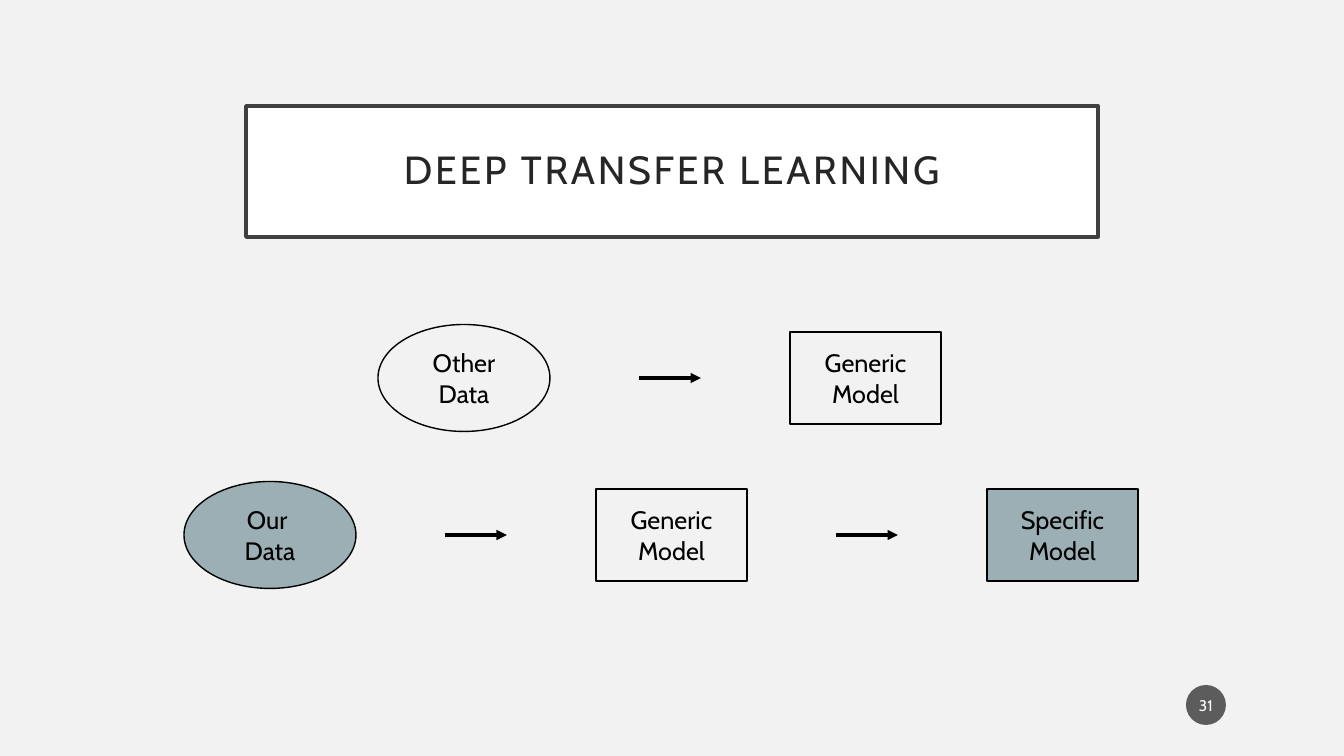
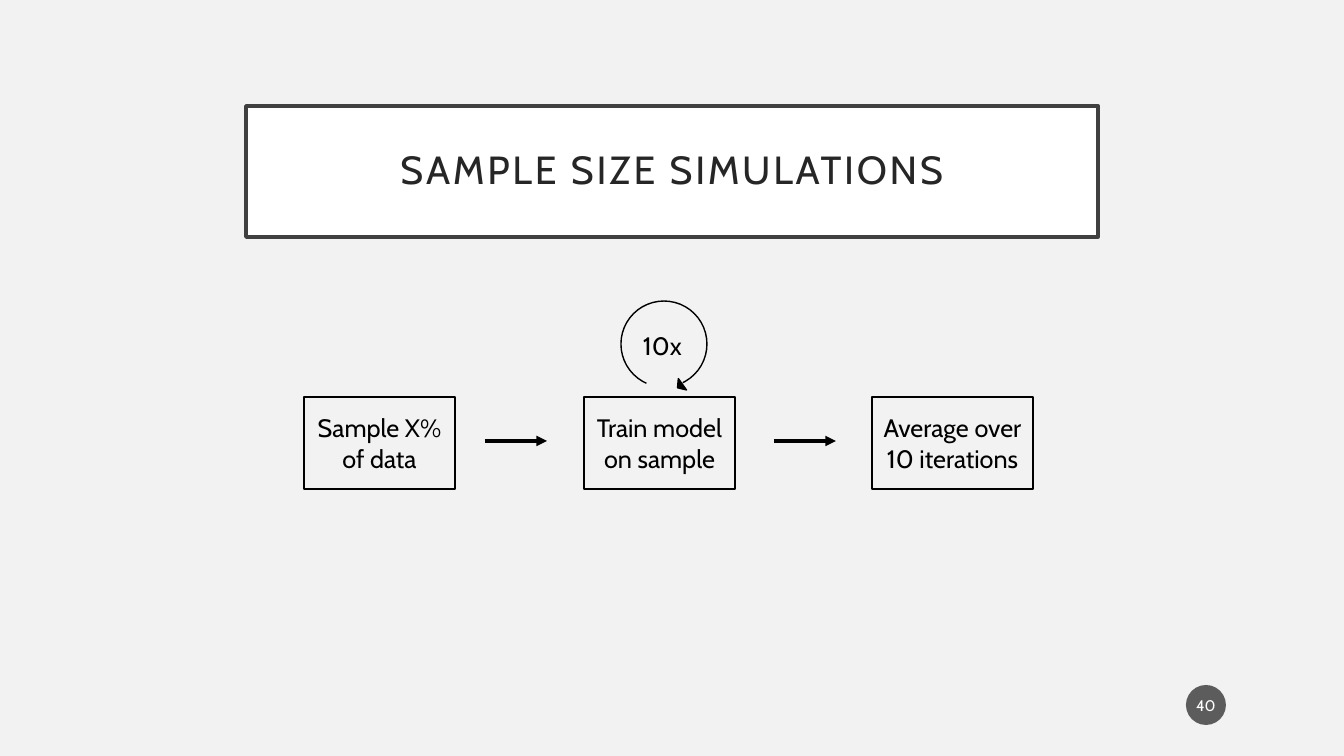
from lxml import etree
from pptx import Presentation
from pptx.dml.color import RGBColor
from pptx.enum.shapes import MSO_CONNECTOR, MSO_SHAPE
from pptx.enum.text import MSO_ANCHOR, MSO_AUTO_SIZE, PP_ALIGN
from pptx.oxml.ns import qn
from pptx.util import Emu, Pt

RECTANGLE, OVAL = MSO_SHAPE.RECTANGLE, MSO_SHAPE.OVAL
ARC, TRIANGLE = MSO_SHAPE.ARC, MSO_SHAPE.ISOSCELES_TRIANGLE
STRAIGHT = MSO_CONNECTOR.STRAIGHT
MIDDLE, CENTER, LEFT = MSO_ANCHOR.MIDDLE, PP_ALIGN.CENTER, PP_ALIGN.LEFT
NO_AUTOFIT = MSO_AUTO_SIZE.NONE

FONT = "Cabin"
COLORS = {
    "paper": "F2F2F2", "white": "FFFFFF", "black": "000000", "ours": "9BAFB5",
    "title": "262626", "frame": "404040", "badge": "1D1D1D",
}

# Content: each step is (kind, label, fill); an arrow joins neighbouring steps.
# Gaps are the spaces before and after each arrow, in px.
SLIDES = [
    {
        "title": "DEEP TRANSFER LEARNING",
        "number": "31",
        "flows": [
            {"left": 378, "middle": 378, "arrow_middle": 378, "gaps": [89] * 2,
             "steps": [("data", "Other Data", "paper"),
                       ("model", "Generic Model", "paper")]},
            {"left": 184, "middle": 535, "arrow_middle": 535, "gaps": [89] * 4,
             "steps": [("data", "Our \nData", "ours"),
                       ("model", "Generic Model", "paper"),
                       ("model", "Specific Model", "ours")]},
        ],
    },
    {
        "title": "SAMPLE SIZE SIMULATIONS",
        "number": "40",
        "loop": "10x",
        "flows": [
            {"left": 304, "middle": 443, "arrow_middle": 441,
             "gaps": [30, 37, 39, 36],
             "steps": [("model", "Sample X% of data", "paper"),
                       ("model", "Train model on sample", "paper"),
                       ("wide", "Average over 10 iterations", "paper")]},
        ],
    },
]

# Geometry in px
PAGE_SIZE = (1344, 756)
TITLE_AREA = (246, 106, 852, 131)
BADGE_AREA = (1186, 685, 40, 40)
LOOP_AREA = (621, 301, 86, 86)
LOOP_HEAD_AREA = (673, 383, 14, 6)
LOOP_LABEL_AREA = (633, 325, 67, 40)
KINDS = {
    "data": (OVAL, 172, 107),
    "model": (RECTANGLE, 151, 92),
    "wide": (RECTANGLE, 161, 92),
}
ARROW_LENGTH = 62
LOOP_ANGLES = (114, 64)
LOOP_HEAD_TURN = 234.4


def px(length):
    return Emu(round(length * 914400 / 100.8))


def rgb(name):
    return RGBColor.from_string(COLORS[name])


def paint(shape, fill=None, line=None, width=1):
    if fill:
        shape.fill.solid()
        shape.fill.fore_color.rgb = rgb(fill)
    else:
        shape.fill.background()
    if line:
        shape.line.color.rgb = rgb(line)
        shape.line.width = Pt(width)
    else:
        shape.line.fill.background()


def write(shape, text, size=18, color="black", align=CENTER, insets=(10, 5)):
    frame = shape.text_frame
    across, down = px(insets[0]), px(insets[1])
    frame_format = {
        "word_wrap": True, "auto_size": NO_AUTOFIT, "vertical_anchor": MIDDLE,
        "margin_left": across, "margin_right": across,
        "margin_top": down, "margin_bottom": down,
    }
    for name, value in frame_format.items():
        setattr(frame, name, value)
    frame.text = text
    for para in frame.paragraphs:
        para.alignment = align
        for span in para.runs:
            for name, value in {"name": FONT, "size": Pt(size)}.items():
                setattr(span.font, name, value)
            span.font.color.rgb = rgb(color)


def add_box(page, kind, area, **look):
    box = page.shapes.add_shape(kind, *map(px, area))
    box.shadow.inherit = False
    paint(box, **look)
    return box


def add_arrow(page, left, middle):
    ends = (left, middle, left + ARROW_LENGTH, middle)
    arrow = page.shapes.add_connector(STRAIGHT, *map(px, ends))
    arrow.line.color.rgb = rgb("black")
    arrow.line.width = Pt(2.5)
    etree.SubElement(arrow.line._get_or_add_ln(), qn("a:tailEnd"), type="triangle")
    etree.SubElement(arrow._element.spPr, qn("a:effectLst"))


def add_flow(page, flow):
    left, gaps = flow["left"], iter(flow["gaps"])
    for index, (kind, label, fill) in enumerate(flow["steps"]):
        if index:
            left += next(gaps)
            add_arrow(page, left, flow["arrow_middle"])
            left += ARROW_LENGTH + next(gaps)
        preset, width, height = KINDS[kind]
        area = (left, flow["middle"] - height / 2, width, height)
        write(add_box(page, preset, area, fill=fill, line="black"), label)
        left += width


def add_loop(page, label):
    circle = add_box(page, ARC, LOOP_AREA, line="black")
    for index, angle in enumerate(LOOP_ANGLES):
        circle.adjustments[index] = angle * 0.6  # 60000 units a degree, over 100000
    head = add_box(page, TRIANGLE, LOOP_HEAD_AREA, fill="black", line="black")
    head.rotation = LOOP_HEAD_TURN
    write(page.shapes.add_textbox(*map(px, LOOP_LABEL_AREA)), label, align=LEFT)


def add_page(deck, title, number):
    page = deck.slides.add_slide(deck.slide_layouts.get_by_name("Title Only"))
    # Framed title
    heading = page.shapes.title
    heading.left, heading.top, heading.width, heading.height = map(px, TITLE_AREA)
    paint(heading, "white", "frame", 2.5)
    write(heading, title, size=28, color="title", insets=(20, 20))
    para = heading.text_frame.paragraphs[0]
    para.line_spacing = 0.9
    para.runs[0].font._element.set("spc", "200")
    # Round page number, partly transparent
    badge = add_box(page, OVAL, BADGE_AREA, fill="badge")
    write(badge, number, size=11, color="white", insets=(2, 5))
    tint = badge._element.spPr.find(qn("a:solidFill")).find(qn("a:srgbClr"))
    etree.SubElement(tint, qn("a:alpha"), val="70000")
    return page


def main():
    deck = Presentation()
    deck.slide_width, deck.slide_height = map(px, PAGE_SIZE)
    background = deck.slide_master.background.fill
    background.solid()
    background.fore_color.rgb = rgb("paper")
    for content in SLIDES:
        page = add_page(deck, content["title"], content["number"])
        for flow in content["flows"]:
            add_flow(page, flow)
        if "loop" in content:
            add_loop(page, content["loop"])
    deck.save("out.pptx")


if __name__ == "__main__":
    main()
